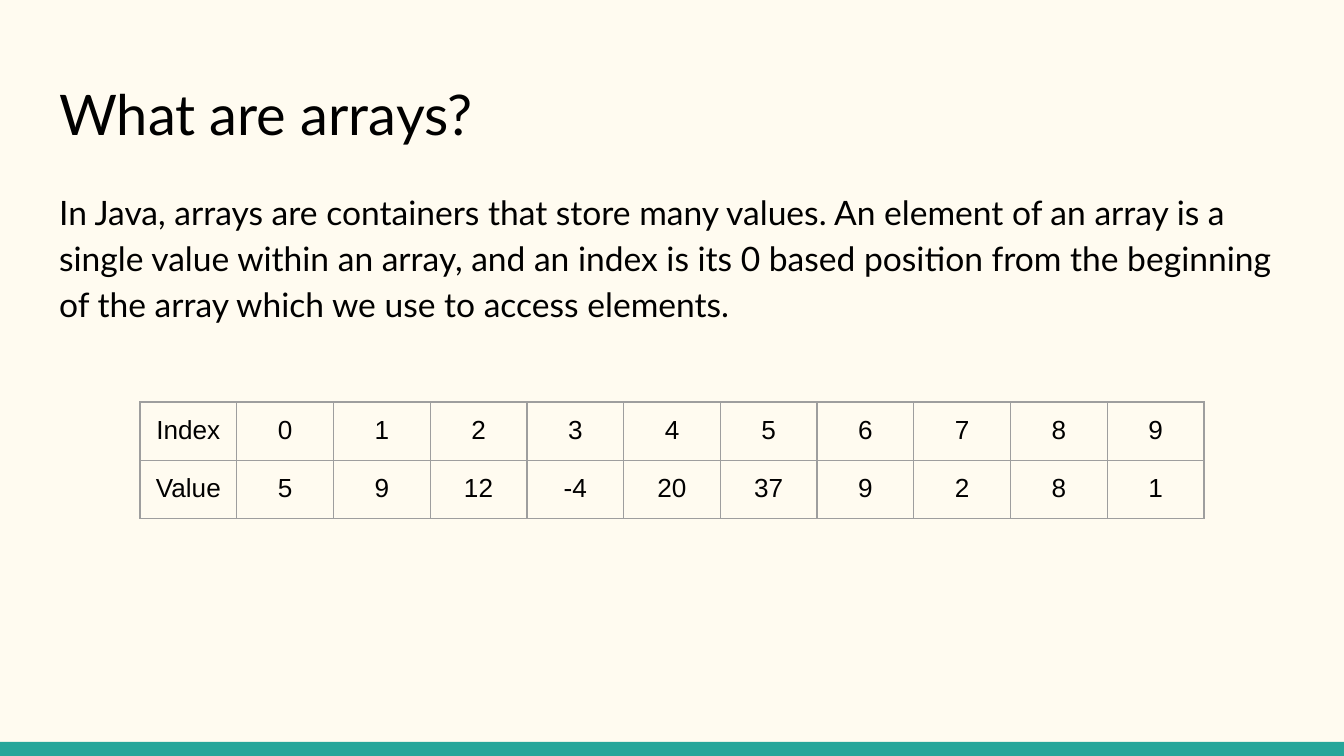
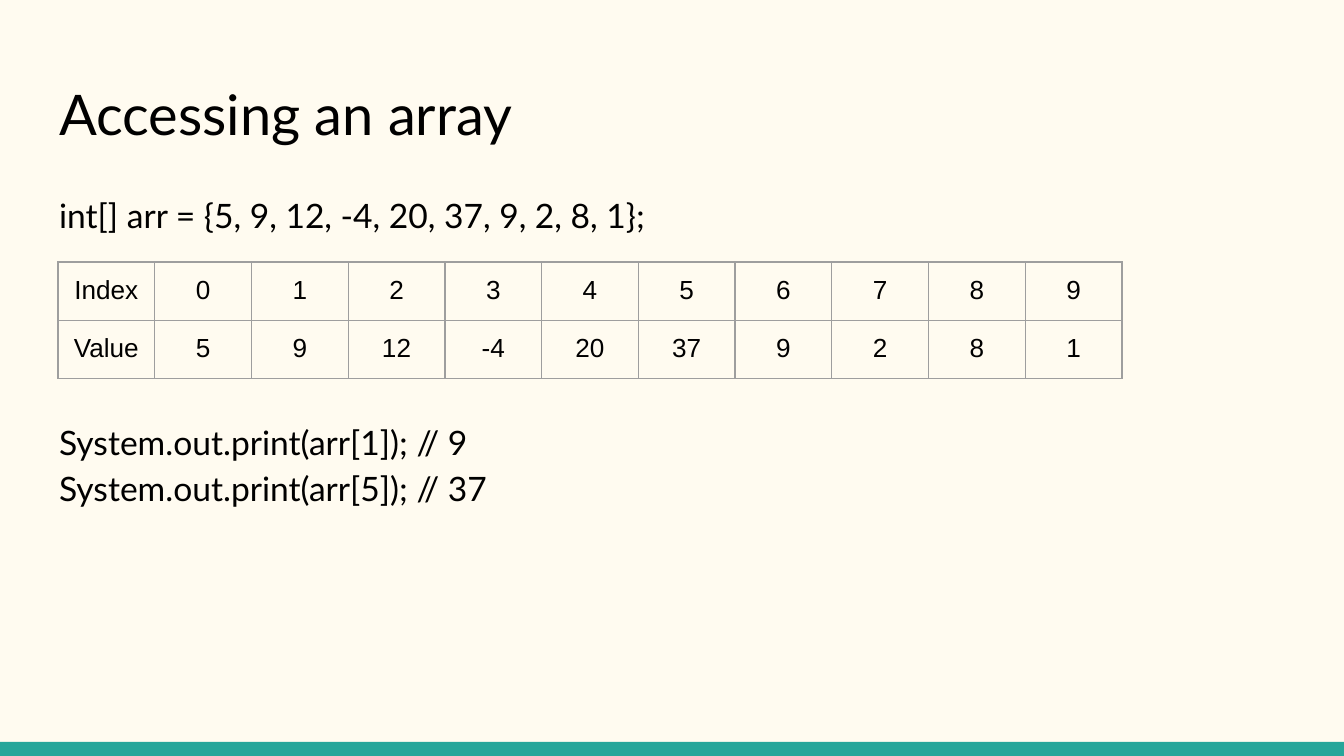
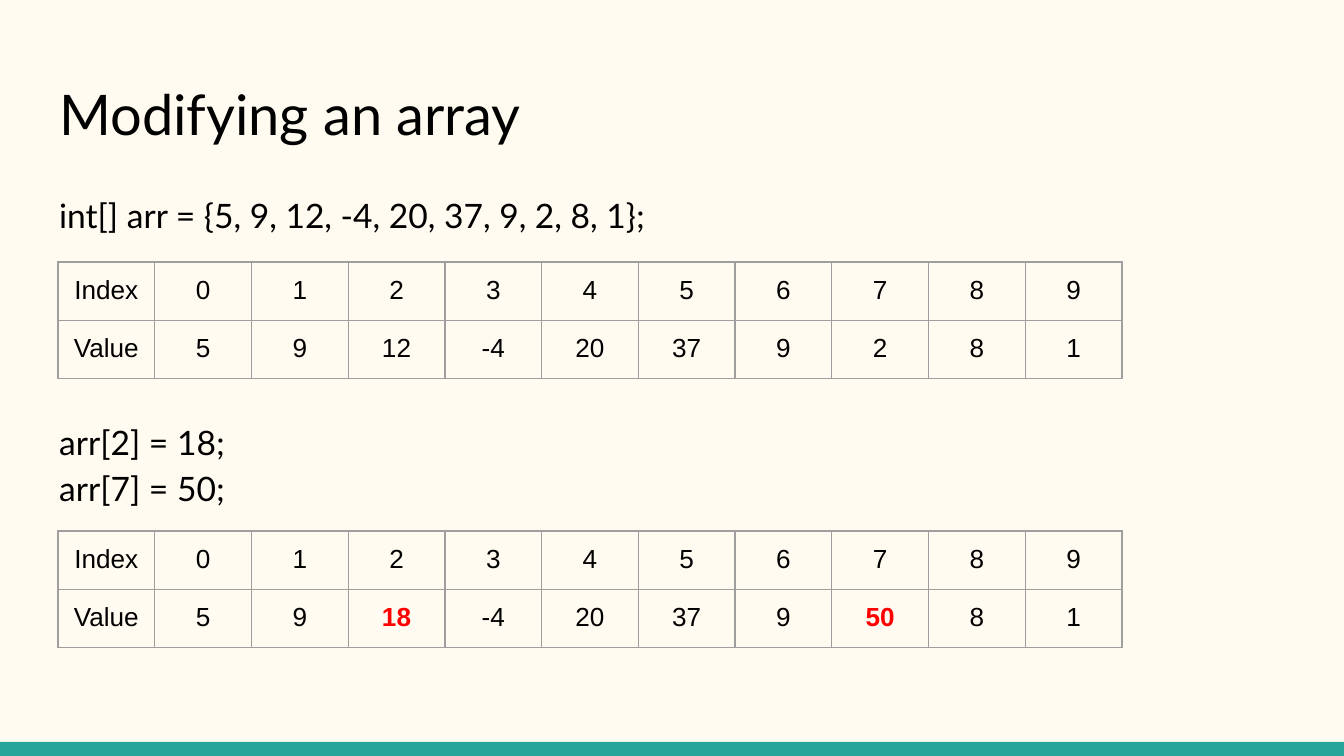
from lxml import etree
from pptx import Presentation
from pptx.dml.color import RGBColor
from pptx.enum.shapes import MSO_SHAPE
from pptx.enum.text import PP_ALIGN
from pptx.oxml.ns import qn
from pptx.util import Inches, Pt

RECTANGLE = MSO_SHAPE.RECTANGLE
CENTER = PP_ALIGN.CENTER
CREAM = RGBColor(0xFF, 0xFB, 0xF0)
TEAL = RGBColor(0x26, 0xA6, 0x9A)
GRAY = RGBColor(0x9E, 0x9E, 0x9E)
BLACK = RGBColor(0x00, 0x00, 0x00)
RED = RGBColor(0xFF, 0x00, 0x00)

SLIDE_WIDTH, SLIDE_HEIGHT = 1344, 756
BAR_HEIGHT = 14
TEXT_LEFT, TEXT_WIDTH = 46, 1253
TABLE_WIDTH, TABLE_HEIGHT = 1064, 112
EMU_PER_PX = Inches(10) / SLIDE_WIDTH
MARGIN = Inches(0.1)
BORDER_WIDTH = Pt(0.75)

VALUES = [5, 9, 12, -4, 20, 37, 9, 2, 8, 1]
DECLARATION = "int[] arr = {5, 9, 12, -4, 20, 37, 9, 2, 8, 1};"
SLIDES = [
    {
        "title": "What are arrays?",
        "body_top": 172,
        "body": [
            "In Java, arrays are containers that store many values. An element of an array "
            "is a single value within an array, and an index is its 0 based position from "
            "the beginning of the array which we use to access elements."
        ],
        "tables": [(140, 402, {})],
    },
    {
        "title": "Accessing an array",
        "body_top": 175,
        "body": [
            DECLARATION,
            "System.out.print(arr[1]); // 9\vSystem.out.print(arr[5]); // 37",
        ],
        "tables": [(58, 262, {})],
    },
    {
        "title": "Modifying an array",
        "body_top": 175,
        "body": [DECLARATION, "arr[2] = 18;\varr[7] = 50;"],
        "tables": [(58, 262, {}), (58, 531, {2: 18, 7: 50})],
    },
]


def emu(*lengths):
    return [round(length * EMU_PER_PX) for length in lengths]


def add_text(slide, top, height, paragraphs, size, line_spacing):
    box = slide.shapes.add_textbox(*emu(TEXT_LEFT, top, TEXT_WIDTH, height))
    text_frame = box.text_frame
    text_frame.word_wrap = True
    text_frame.margin_left = text_frame.margin_right = MARGIN
    text_frame.margin_top = text_frame.margin_bottom = MARGIN
    text_frame.text = "\n".join(paragraphs)
    for number, paragraph in enumerate(text_frame.paragraphs):
        paragraph.line_spacing = line_spacing
        paragraph.space_before = Pt(97 if number else 0)
        for run in paragraph.runs:
            run.font.name = "Lato"
            run.font.size = Pt(size)
            run.font.color.rgb = BLACK


presentation = Presentation()
presentation.slide_width, presentation.slide_height = emu(SLIDE_WIDTH, SLIDE_HEIGHT)
master_fill = presentation.slide_master.background.fill
master_fill.solid()
master_fill.fore_color.rgb = CREAM
blank_layout = presentation.slide_layouts[6]

for content in SLIDES:
    slide = presentation.slides.add_slide(blank_layout)
    bar = slide.shapes.add_shape(
        RECTANGLE, *emu(0, SLIDE_HEIGHT - BAR_HEIGHT, SLIDE_WIDTH, BAR_HEIGHT)
    )
    bar.shadow.inherit = False
    bar.fill.solid()
    bar.fill.fore_color.rgb = TEAL
    bar.line.fill.background()

    add_text(slide, 66, 90, [content["title"]], 30, 1.0)
    body_top = content["body_top"]
    add_text(slide, body_top, 672 - body_top, content["body"], 18, 1.15)

    for left, top, changes in content["tables"]:
        values = [changes.get(index, value) for index, value in enumerate(VALUES)]
        rows = [["Index", *range(len(VALUES))], ["Value", *values]]
        table = slide.shapes.add_table(
            len(rows), len(rows[0]), *emu(left, top, TABLE_WIDTH, TABLE_HEIGHT)
        ).table
        table.first_row = False
        table.horz_banding = False
        for row_number, row in enumerate(rows):
            for column_number, entry in enumerate(row):
                cell = table.cell(row_number, column_number)
                cell.margin_left = cell.margin_right = MARGIN
                cell.margin_top = cell.margin_bottom = MARGIN
                cell.text_frame.text = str(entry)
                paragraph = cell.text_frame.paragraphs[0]
                paragraph.alignment = CENTER
                changed = row_number == 1 and column_number - 1 in changes
                font = paragraph.runs[0].font
                font.name = "Arial"
                font.size = Pt(14)
                font.bold = changed
                font.color.rgb = RED if changed else BLACK
                properties = cell._tc.get_or_add_tcPr()
                for side in ("a:lnL", "a:lnR", "a:lnT", "a:lnB"):
                    border = etree.SubElement(properties, qn(side), w=str(BORDER_WIDTH))
                    border_fill = etree.SubElement(border, qn("a:solidFill"))
                    etree.SubElement(border_fill, qn("a:srgbClr"), val=str(GRAY))
                cell.fill.background()

presentation.save("out.pptx")
